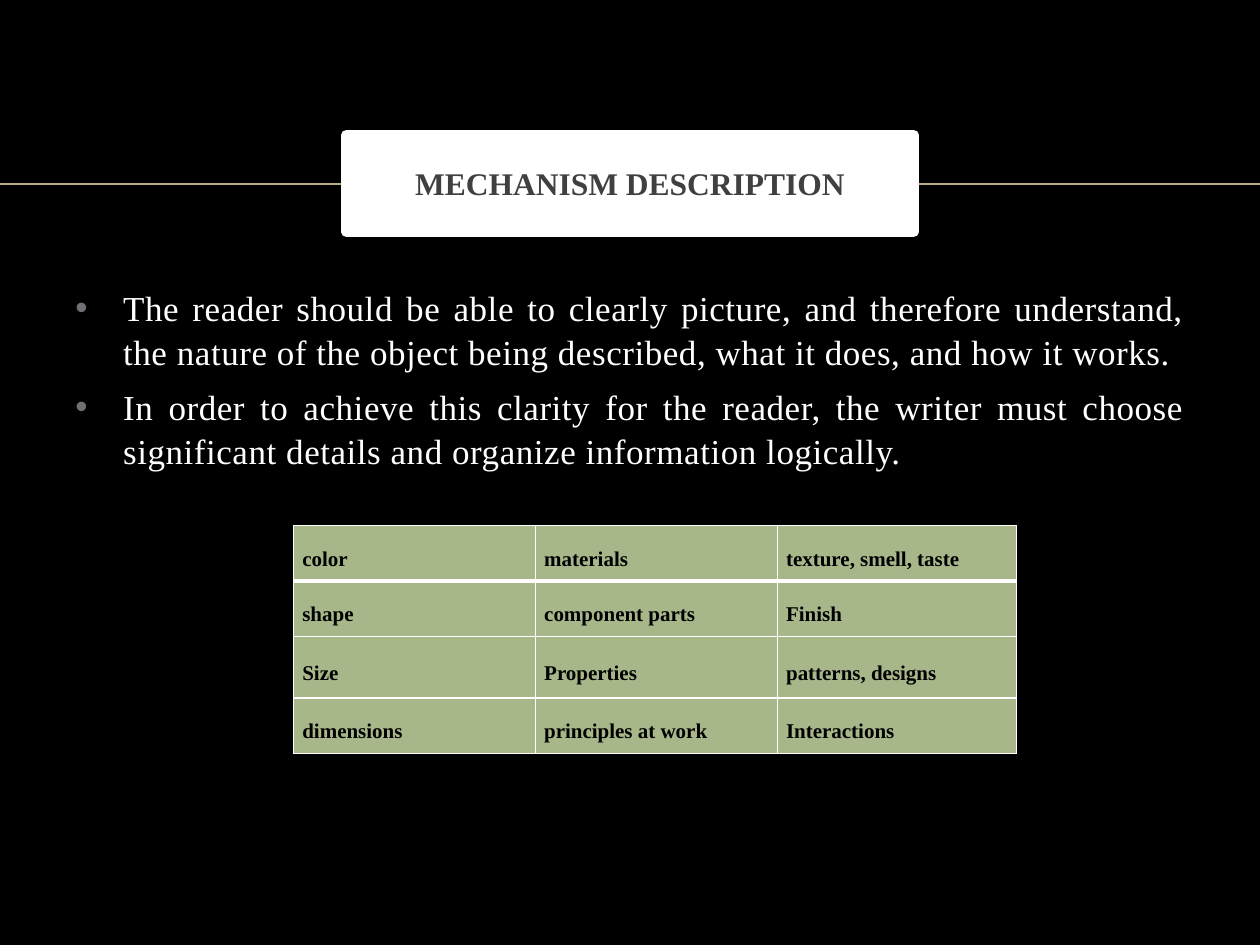
from lxml.etree import SubElement
from pptx import Presentation
from pptx.dml.color import RGBColor
from pptx.enum.shapes import MSO_CONNECTOR, MSO_SHAPE
from pptx.enum.text import MSO_ANCHOR, PP_ALIGN
from pptx.oxml.ns import qn
from pptx.util import Inches, Pt

WIDE, HIGH = Inches(10), Inches(7.5)
BLACK = RGBColor(0x00, 0x00, 0x00)
WHITE = RGBColor(0xFF, 0xFF, 0xFF)
DARK = RGBColor(0x40, 0x40, 0x40)
GRAY = RGBColor(0x6F, 0x6F, 0x74)
TAN = RGBColor(0xBB, 0xAA, 0x8A)
GREEN = RGBColor(0xA7, 0xB7, 0x89)
FACE = "Times New Roman"

POINTS = [
    "The reader should be able to clearly picture, and therefore understand, "
    "the nature of the object being described, what it does, and how it works.",
    "In order to achieve this clarity for the reader, the writer must choose "
    "significant details and organize information logically.",
]
DETAILS = [
    ["color", "materials", "texture, smell, taste"],
    ["shape", "component parts", "Finish"],
    ["Size", "Properties", "patterns, designs"],
    ["dimensions", "principles at work", "Interactions"],
]
COLS = [1.92, 1.92, 1.9]
ROWS = [0.43, 0.43, 0.49, 0.43]


def area(left, top, width, height):
    """Turn shares of the slide into lengths."""
    return (round(left * WIDE), round(top * HIGH),
            round(width * WIDE), round(height * HIGH))


def style(para, size, color, bold=False, align=PP_ALIGN.JUSTIFY):
    para.alignment = align
    font = para.font
    font.name, font.size, font.bold = FACE, Pt(size), bold
    font.color.rgb = color


def add_rule(slide, level):
    y = round(level * HIGH)
    rule = slide.shapes.add_connector(MSO_CONNECTOR.STRAIGHT, 0, y, WIDE, y)
    rule.line.color.rgb = TAN
    rule.line.width = Pt(1)
    SubElement(rule._element.spPr, qn("a:effectLst"))


def add_title(slide, text, place):
    box = slide.shapes.add_shape(MSO_SHAPE.RECTANGLE, *place)
    box.shadow.inherit = False
    box.fill.solid()
    box.fill.fore_color.rgb = WHITE
    box.line.color.rgb = WHITE
    box.line.width = Pt(6)
    frame = box.text_frame
    frame.vertical_anchor = MSO_ANCHOR.MIDDLE
    frame.text = text
    style(frame.paragraphs[0], 18, DARK, True, PP_ALIGN.CENTER)


def add_bullet(para):
    props = para._p.get_or_add_pPr()
    props.set("marL", str(Inches(0.38)))
    props.set("indent", str(-Inches(0.38)))
    tint = SubElement(props, qn("a:buClr"))
    SubElement(tint, qn("a:srgbClr"), val=str(GRAY))
    SubElement(props, qn("a:buFont"), typeface="Arial")
    SubElement(props, qn("a:buChar"), char="•")


def add_list(slide, points, place):
    frame = slide.shapes.add_textbox(*place).text_frame
    frame.word_wrap = True
    frame.text = "\n".join(points)
    for i, para in enumerate(frame.paragraphs):
        add_bullet(para)
        para.line_spacing = 1.05
        para.space_before = Pt(6 if i else 0)
        style(para, 20, WHITE)
        para.runs[0]._r.get_or_add_rPr().set("spc", "30")


def add_edge(cell, side, width):
    edge = SubElement(cell._tc.get_or_add_tcPr(), qn(f"a:ln{side}"),
                      w=str(Pt(width)))
    fill = SubElement(edge, qn("a:solidFill"))
    SubElement(fill, qn("a:srgbClr"), val=str(WHITE))


def fill_cell(cell, text, above, below):
    """Write one cell, with the widths of its top and bottom edges."""
    for side, width in zip("LRTB", (1, 1, above, below)):
        add_edge(cell, side, width)
    cell.fill.solid()
    cell.fill.fore_color.rgb = GREEN
    cell.vertical_anchor = MSO_ANCHOR.MIDDLE
    cell.margin_left = cell.margin_right = Inches(0.07)
    cell.margin_top = cell.margin_bottom = Inches(0.07)
    cell.text = text
    para = cell.text_frame.paragraphs[0]
    para.line_spacing = 1.5
    style(para, 12, BLACK, True)


def add_grid(slide, data, left, top):
    place = area(left, top, sum(COLS) / 10, sum(ROWS) / 7.5)
    table = slide.shapes.add_table(len(ROWS), len(COLS), *place).table
    for col, width in zip(table.columns, COLS):
        col.width = Inches(width)
    for r, (row, height) in enumerate(zip(table.rows, ROWS)):
        row.height = Inches(height)
        for cell, text in zip(row.cells, data[r]):
            fill_cell(cell, text, 3 if r == 1 else 1, 3 if r == 0 else 1)


def main():
    deck = Presentation()
    deck.slide_width, deck.slide_height = WIDE, HIGH
    slide = deck.slides.add_slide(deck.slide_layouts[6])
    back = slide.background.fill
    back.solid()
    back.fore_color.rgb = BLACK
    add_rule(slide, 1.46 / 7.5)
    add_list(slide, POINTS, area(0.05, 2.21 / 7.5, 0.9, 4.46 / 7.5))
    add_title(slide, "MECHANISM DESCRIPTION",
              area(0.275, 1.07 / 7.5, 0.45, 0.77 / 7.5))
    add_grid(slide, DETAILS, 0.233, 4.17 / 7.5)
    deck.save("out.pptx")


if __name__ == "__main__":
    main()
